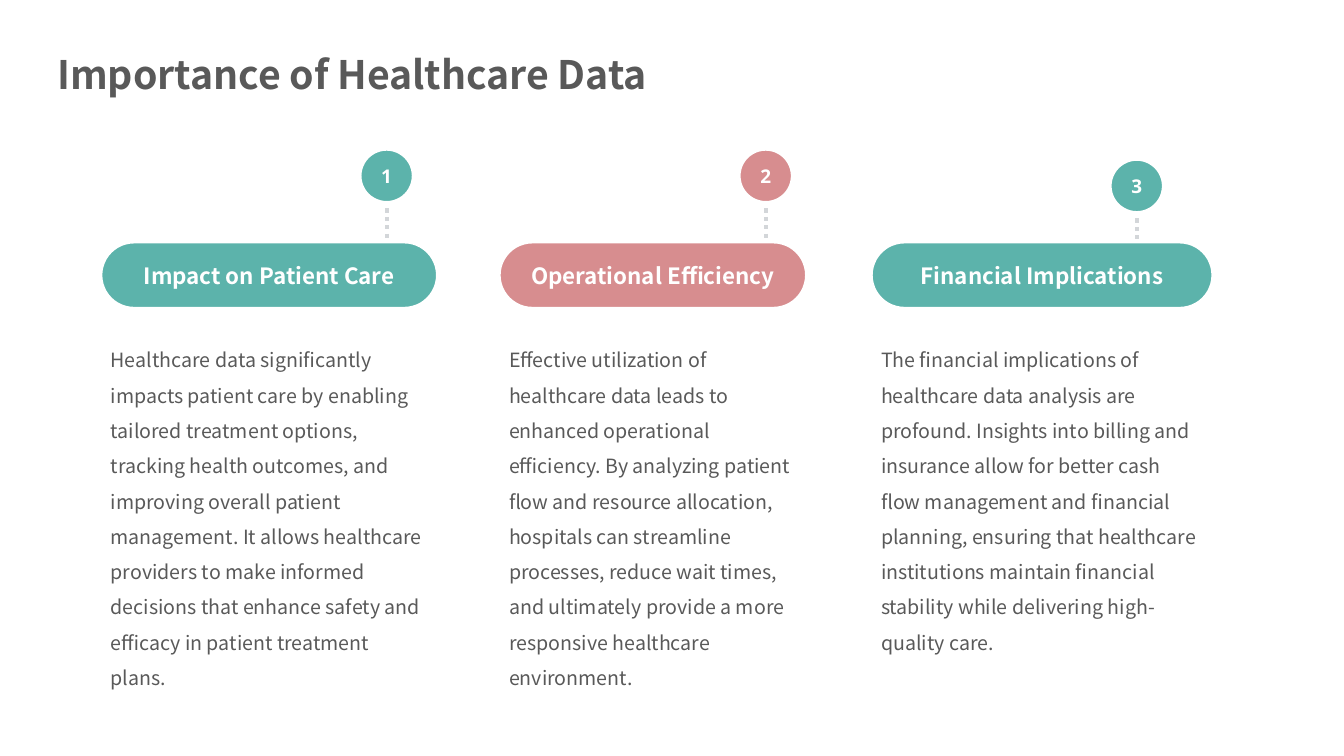
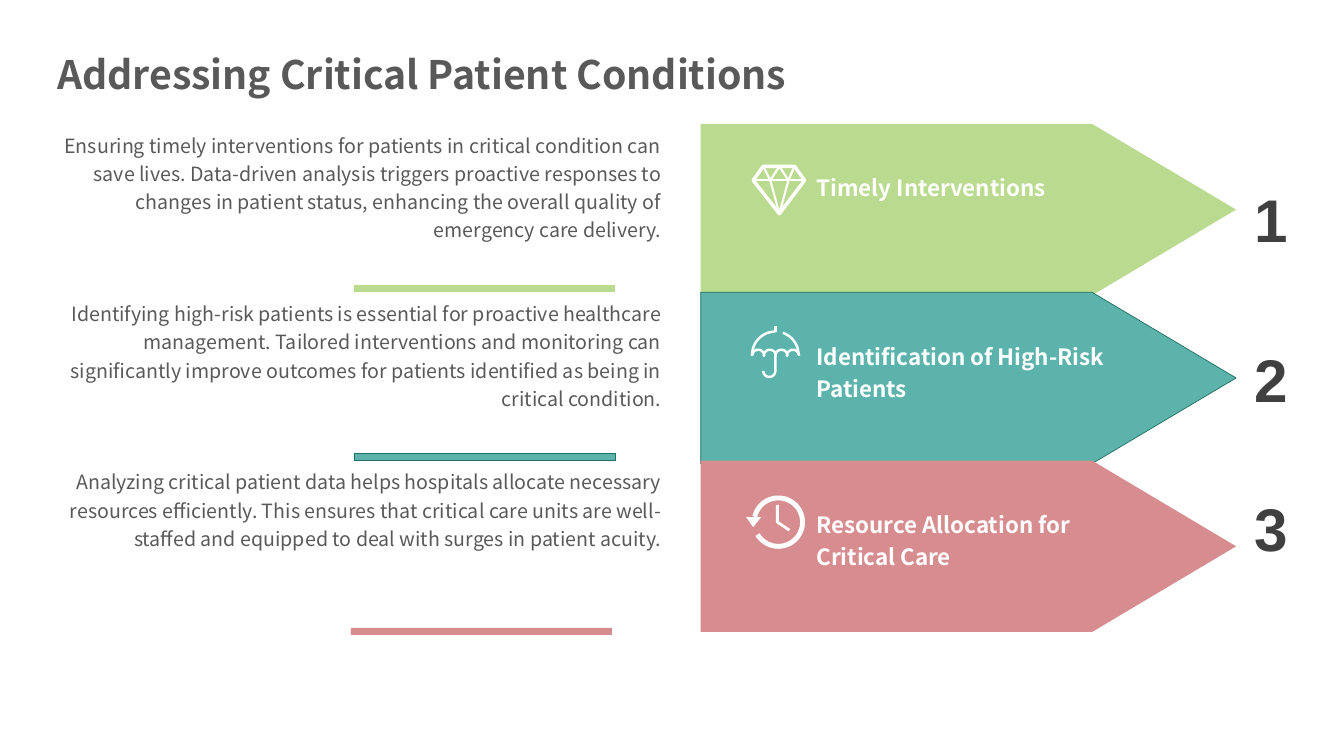
import math

import pptx
import pptx.util
import pptx.dml.color
import pptx.enum.dml
import pptx.enum.shapes
import pptx.enum.text
import pptx.oxml

Inches = pptx.util.Inches
Pt = pptx.util.Pt
RGBColor = pptx.dml.color.RGBColor
SHAPE = pptx.enum.shapes.MSO_SHAPE
ALIGN = pptx.enum.text.PP_ALIGN
ANCHOR = pptx.enum.text.MSO_ANCHOR

WHITE = RGBColor(0xFF, 0xFF, 0xFF)
GREY = RGBColor(0x59, 0x59, 0x59)
DARK = RGBColor(0x40, 0x40, 0x40)
DOTS = RGBColor(0xD3, 0xD6, 0xD9)
TEAL = RGBColor(0x5C, 0xB3, 0xAB)
TEAL_EDGE = RGBColor(0x1F, 0x70, 0x62)
ROSE = RGBColor(0xD7, 0x8D, 0x8F)
GREEN = RGBColor(0xB9, 0xDA, 0x8F)
SANS = "Noto Sans CJK SC"

# heading, colour, left, width, badge left, badge top, body
COLUMNS = [
    ("Impact on Patient Care", TEAL, 1.0, 3.34, 3.57, 1.48,
     "Healthcare data significantly impacts patient care by enabling tailored treatment "
     "options, tracking health outcomes, and improving overall patient management. It allows "
     "healthcare providers to make informed decisions that enhance safety and efficacy in "
     "patient treatment plans."),
    ("Operational Efficiency", ROSE, 4.95, 3.05, 7.33, 1.48,
     "Effective utilization of healthcare data leads to enhanced operational efficiency. By "
     "analyzing patient flow and resource allocation, hospitals can streamline processes, "
     "reduce wait times, and ultimately provide a more responsive healthcare environment."),
    ("Financial Implications", TEAL, 8.64, 3.39, 11.01, 1.58,
     "The financial implications of healthcare data analysis are profound. Insights into "
     "billing and insurance allow for better cash flow management and financial planning, "
     "ensuring that healthcare institutions maintain financial stability while delivering "
     "high-quality care."),
]


def style_text(tf, text, size, color, bold=False, font=SANS, align=None, spacing=None):
    p = tf.paragraphs[0]
    p.text = text
    p.font.name, p.font.size, p.font.bold = font, Pt(size), bold
    p.font.color.rgb = color
    if align is not None:
        p.alignment = align
    if spacing:
        p.line_spacing = spacing


def add_text(s, box, text, size, color, wrap=True, **style):
    tf = s.shapes.add_textbox(*map(Inches, box)).text_frame
    tf.word_wrap = wrap
    tf.auto_size = pptx.enum.text.MSO_AUTO_SIZE.SHAPE_TO_FIT_TEXT
    style_text(tf, text, size, color, **style)
    return tf


def paint(sp, fill=None, line=None, weight=0.5):
    """Set fill and outline, where None means neither is drawn."""
    sp.shadow.inherit = False
    if fill is None:
        sp.fill.background()
    else:
        sp.fill.solid()
        sp.fill.fore_color.rgb = fill
    if line is None:
        sp.line.fill.background()
    else:
        sp.line.color.rgb = line
        sp.line.width = Pt(weight)


def add_block(s, shape, box, fill, line=None, weight=0.5, adj=None):
    sp = s.shapes.add_shape(shape, *map(Inches, box))
    paint(sp, fill, line, weight)
    if adj is not None:
        sp.adjustments[0] = adj
    return sp


def add_label(s, shape, box, fill, text, size, font=SANS, adj=None):
    """Filled shape with a white edge and centred bold white text."""
    sp = add_block(s, shape, box, fill, WHITE, 2.25, adj)
    tf = sp.text_frame
    tf.word_wrap = True
    tf.vertical_anchor = ANCHOR.MIDDLE
    style_text(tf, text, size, WHITE, True, font, ALIGN.CENTER)


def add_paths(s, x, y, paths, weight=None, closed=False):
    """Draw white paths from the origin x, y: stroked with a weight, else filled."""
    paths = [[(Inches(x + px), Inches(y + py)) for px, py in path] for path in paths]
    builder = s.shapes.build_freeform(*paths[0][0])
    for i, path in enumerate(paths):
        if i:
            builder.move_to(*path[0])
        builder.add_line_segments(path[1:], close=closed)
    sp = builder.convert_to_shape()
    if weight:
        paint(sp, None, WHITE, weight)
    else:
        paint(sp, WHITE)


def arc(cx, cy, r, start, end, steps=32):
    """Points of an arc, in degrees clockwise from the right."""
    angles = [math.radians(start + (end - start) * i / steps) for i in range(steps + 1)]
    return [(cx + r * math.cos(a), cy + r * math.sin(a)) for a in angles]


def diamond_icon(s, x, y):
    outline = [(0.12, 0.02), (0.43, 0.02), (0.53, 0.16), (0.28, 0.49), (0.02, 0.16)]
    add_paths(s, x, y, [outline], 2.5, closed=True)
    add_paths(s, x, y, [
        [(0.02, 0.16), (0.53, 0.16)],
        [(0.12, 0.02), (0.19, 0.16), (0.28, 0.02), (0.37, 0.16), (0.43, 0.02)],
        [(0.19, 0.16), (0.28, 0.49), (0.37, 0.16)],
    ], 1.5)


def umbrella_icon(s, x, y):
    scallops = [pt for i in range(4) for pt in arc(0.07 + 0.115 * i, 0.31, 0.06, 180, 360)]
    add_paths(s, x, y, [
        arc(0.24, 0.3, 0.23, 180, 270),
        [(0.24, 0.07), (0.24, 0.01)],
        arc(0.24, 0.3, 0.23, 289, 360),
        scallops,
        [(0.24, 0.31)] + arc(0.18, 0.46, 0.06, 0, 180),
    ], 1.75)


def clock_icon(s, x, y):
    add_paths(s, x, y, [arc(0.32, 0.26, 0.24, 193, 509, 64)], 3.5)
    add_paths(s, x, y, [[(0.31, 0.09), (0.31, 0.26), (0.43, 0.34)]], 2)
    add_paths(s, x, y, [[(0, 0.21), (0.15, 0.21), (0.07, 0.31)]], closed=True)


# heading, colour, edge, icon, icon left, icon drop, number drop, bar left, bar drop, body
ROWS = [
    ("Timely Interventions", GREEN, None, diamond_icon, 7.45, 0.4, 0.51, 3.51, 1.6,
     "Ensuring timely interventions for patients in critical condition can save lives. "
     "Data-driven analysis triggers proactive responses to changes in patient status, "
     "enhancing the overall quality of emergency care delivery."),
    ("Identification of High-Risk Patients", TEAL, TEAL_EDGE, umbrella_icon, 7.45, 0.32,
     0.43, 3.51, 1.6,
     "Identifying high-risk patients is essential for proactive healthcare management. "
     "Tailored interventions and monitoring can significantly improve outcomes for patients "
     "identified as being in critical condition."),
    ("Resource Allocation for Critical Care", ROSE, None, clock_icon, 7.4, 0.35,
     0.23, 3.48, 1.66,
     "Analyzing critical patient data helps hospitals allocate necessary resources "
     "efficiently. This ensures that critical care units are well-staffed and equipped to "
     "deal with surges in patient acuity."),
]


def add_titled_slide(prs, title):
    s = prs.slides.add_slide(prs.slide_layouts[6])
    add_text(s, (0.47, 0.45, 9.45, 0.57), title, 28, GREY, bold=True)
    return s


def add_dotted_stem(s, x, top, length):
    stem = s.shapes.add_connector(pptx.enum.shapes.MSO_CONNECTOR.STRAIGHT,
                                  *map(Inches, (x, top, x, top + length)))
    stem.line.color.rgb = DOTS
    stem.line.width = Pt(3)
    stem.line.dash_style = pptx.enum.dml.MSO_LINE.ROUND_DOT
    props = stem.line._get_or_add_ln().getparent()
    props.append(pptx.oxml.parse_xml(
        '<a:effectLst xmlns:a="http://schemas.openxmlformats.org/drawingml/2006/main"/>'))


def add_column(s, number, column, top=2.4, badge=0.53):
    heading, color, left, width, badge_left, badge_top, body = column
    add_dotted_stem(s, badge_left + badge / 2, badge_top + 0.42, 0.5)
    add_label(s, SHAPE.OVAL, (badge_left, badge_top, badge, badge), color,
              str(number), 13.5, "Open Sans")
    add_label(s, SHAPE.ROUNDED_RECTANGLE, (left, top, width, 0.66), color,
              heading, 16, adj=0.5)
    add_text(s, (left, top + 0.89, width, 1.53), body, 14, GREY, spacing=1.5)


def add_row(s, number, row, top):
    (heading, color, edge, draw_icon, icon_left, icon_drop, number_drop,
     bar_left, bar_drop, body) = row
    add_block(s, SHAPE.PENTAGON, (6.95, top, 5.31, 1.7), color, edge, adj=0.84)
    add_block(s, SHAPE.RECTANGLE, (bar_left, top + bar_drop, 2.59, 0.07), color, edge)
    draw_icon(s, icon_left, top + icon_drop)
    tf = add_text(s, (12.31, top + number_drop, 0.57, 0.86), str(number), 43, DARK,
                  wrap=False, bold=True, font="Arial")
    tf.margin_left = tf.margin_right = Inches(0.13)
    tf.margin_top = tf.margin_bottom = Inches(0.07)
    add_text(s, (8.0, top + 0.4, 3.36, 0.47), heading, 16, WHITE, bold=True, spacing=1.2)
    add_text(s, (0.47, top, 6.19, 0.72), body, 14, GREY, align=ALIGN.RIGHT, spacing=1.2)


def main():
    prs = pptx.Presentation()
    prs.slide_width, prs.slide_height = Inches(13.33), Inches(7.5)

    s = add_titled_slide(prs, "Importance of Healthcare Data")
    for number, column in enumerate(COLUMNS, 1):
        add_column(s, number, column)

    s = add_titled_slide(prs, "Addressing Critical Patient Conditions")
    for number, row in enumerate(ROWS, 1):
        add_row(s, number, row, 1.23 + 1.67 * (number - 1))

    prs.save("out.pptx")


if __name__ == "__main__":
    main()
